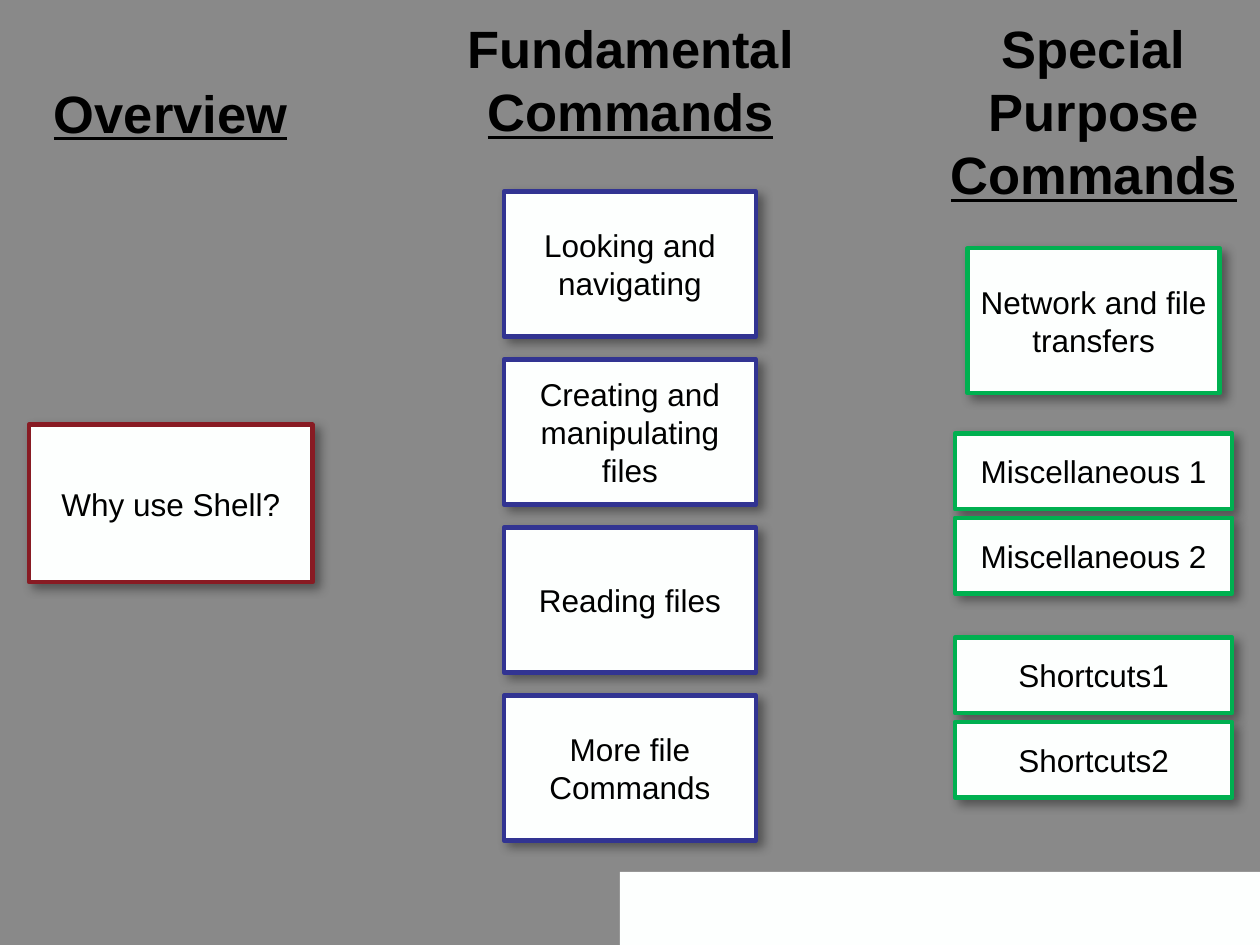
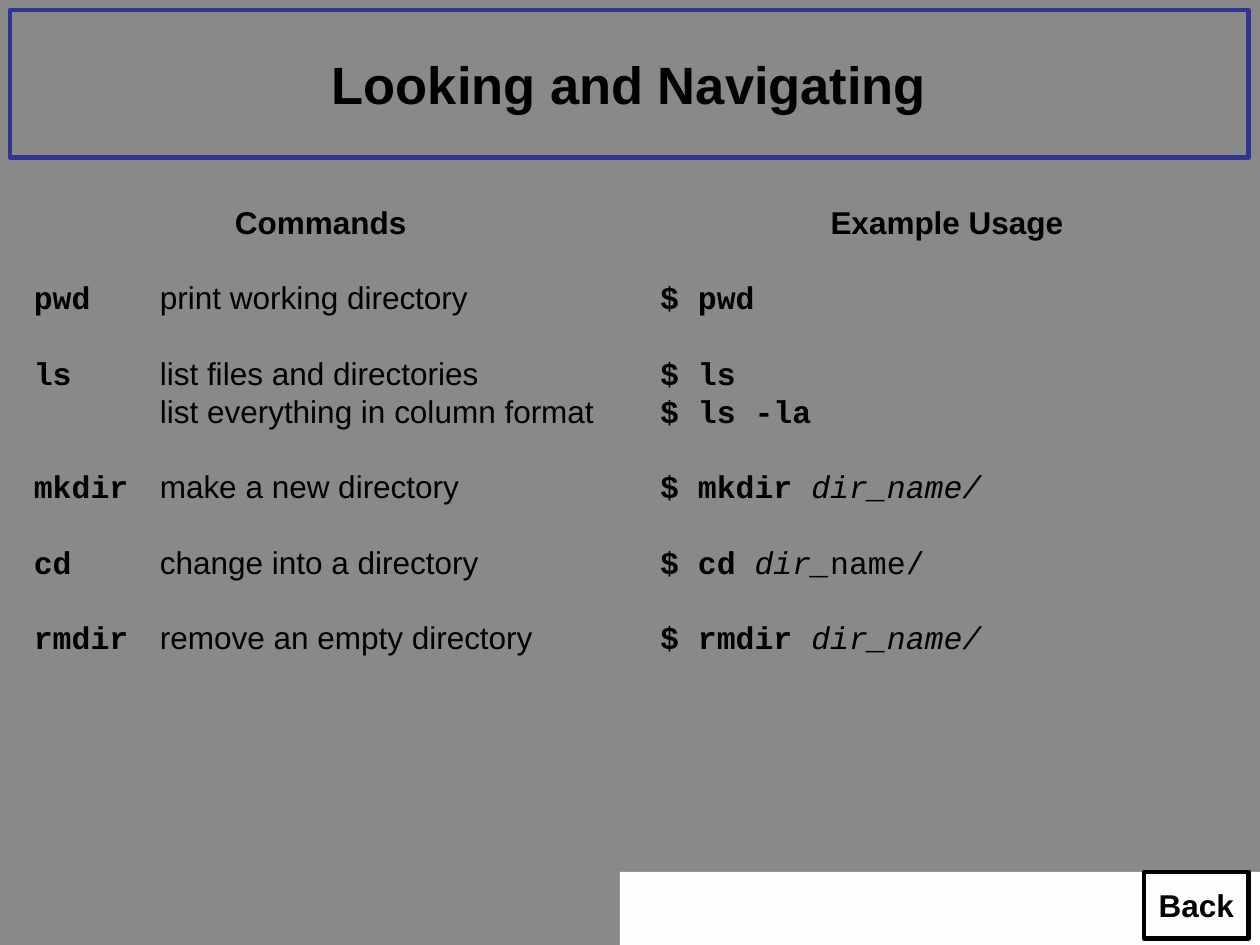
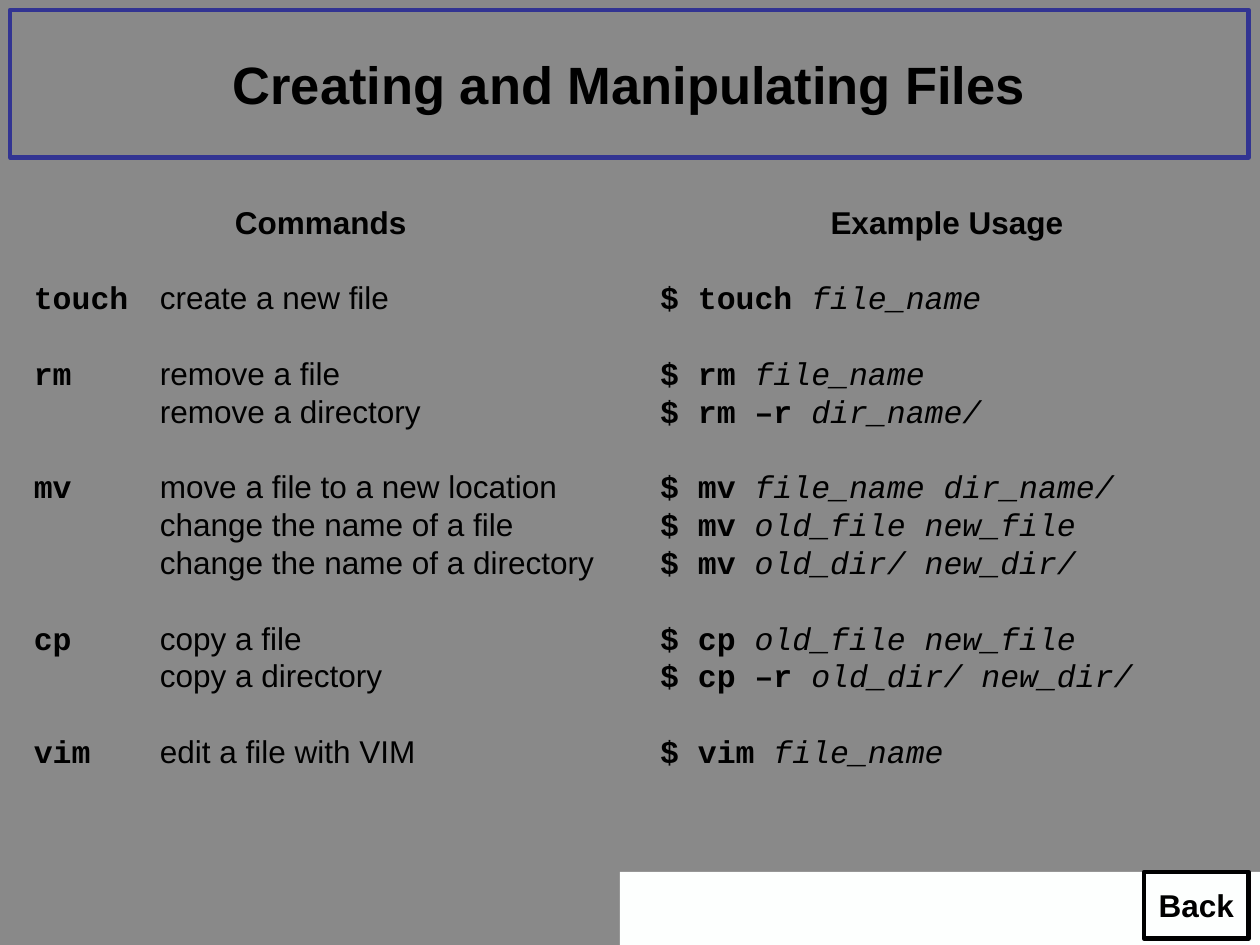
from lxml import etree
from pptx import Presentation
from pptx.dml.color import RGBColor
from pptx.enum.shapes import MSO_SHAPE
from pptx.enum.text import MSO_ANCHOR, PP_ALIGN
from pptx.oxml.ns import qn
from pptx.util import Inches, Pt

GREY = RGBColor(0x89, 0x89, 0x89)
WHITE = RGBColor(0xFD, 0xFF, 0xFE)
BLACK = RGBColor(0, 0, 0)
RED = RGBColor(0x88, 0x1B, 0x23)
BLUE = RGBColor(0x32, 0x34, 0x92)
GREEN = RGBColor(0x00, 0xB0, 0x50)

SANS, MONO = "Arial", "Courier New"
TITLE_SIZE, BODY_SIZE = 30, 18
LINE_PITCH = 1.2
LIST_TOP, LIST_WIDTH = 1.56, 4.75
LIST_LEFTS = (0.17, 5.14)
CARD_PITCH = 4 / 3

# Each command: name, then (description, example, argument) lines.
NAVIGATING = [
    ("pwd", [("print working directory", "$ pwd", "")]),
    ("ls", [("list files and directories", "$ ls", ""),
            ("list everything in column format", "$ ls -la", "")]),
    ("mkdir", [("make a new directory", "$ mkdir ", "dir_name/")]),
    ("cd", [("change into a directory", "$ cd ", "dir_|name/")]),
    ("rmdir", [("remove an empty directory", "$ rmdir ", "dir_name/")]),
]
MANIPULATING = [
    ("touch", [("create a new file", "$ touch ", "file_name")]),
    ("rm", [("remove a file", "$ rm ", "file_name"),
            ("remove a directory", "$ rm –r ", "dir_name/")]),
    ("mv", [("move a file to a new location", "$ mv ", "file_name dir_name/"),
            ("change the name of a file", "$ mv ", "old_file new_file"),
            ("change the name of a directory", "$ mv ", "old_dir/ new_dir/")]),
    ("cp", [("copy a file", "$ cp ", "old_file new_file"),
            ("copy a directory", "$ cp –r ", "old_dir/ new_dir/")]),
    ("vim", [("edit a file with VIM", "$ vim ", "file_name")]),
]


def add_span(para, text, size=BODY_SIZE, name=SANS, bold=False, italic=False,
             underline=False):
    """Append one formatted run to a paragraph."""
    span = para.add_run()
    span.text = text
    font = span.font
    font.size, font.name, font.bold = Pt(size), name, bold
    font.italic, font.underline = italic, underline
    font.color.rgb = BLACK


def set_para(para, size=BODY_SIZE, centred=False, gap=False):
    """Set line pitch and alignment; gap leaves one line free above."""
    para.line_spacing = Pt(size * LINE_PITCH)
    para.alignment = PP_ALIGN.CENTER if centred else PP_ALIGN.LEFT
    if gap:
        para.space_before = para.line_spacing


def add_tab_stop(para, position):
    """Add a left tab stop to a paragraph."""
    stops = etree.SubElement(para._p.get_or_add_pPr(), qn("a:tabLst"))
    etree.SubElement(stops, qn("a:tab"), pos=str(Inches(position)), algn="l")


def add_shadow(box):
    """Give a box a soft shadow towards the lower right."""
    effects = box.fill._xPr.find(qn("a:effectLst"))
    shadow = etree.SubElement(effects, qn("a:outerShdw"), blurRad=str(Pt(6)),
                              dist=str(Pt(4)), dir=str(45 * 60000),
                              algn="tl", rotWithShape="0")
    color = etree.SubElement(shadow, qn("a:srgbClr"), val=str(BLACK))
    etree.SubElement(color, qn("a:alpha"), val="40000")


def add_box(page, place, text="", line=None, fill=None, size=BODY_SIZE,
            bold=False):
    """Add a rectangle with optional outline, fill and centred text."""
    box = page.shapes.add_shape(MSO_SHAPE.RECTANGLE, *map(Inches, place))
    box.shadow.inherit = False
    if fill is None:
        box.fill.background()
    else:
        box.fill.solid()
        box.fill.fore_color.rgb = fill
    if line is None:
        box.line.fill.background()
    else:
        box.line.color.rgb = line
        box.line.width = Pt(2.5)
    if text:
        frame = box.text_frame
        frame.word_wrap = True
        frame.vertical_anchor = MSO_ANCHOR.MIDDLE
        set_para(frame.paragraphs[0], size, centred=True)
        add_span(frame.paragraphs[0], text, size, bold=bold)
    return box


def add_card(page, place, text, color):
    """Add a white topic card with a coloured outline and a shadow."""
    add_shadow(add_box(page, place, text, color, WHITE))


def add_frame(page, place):
    """Add a wrapping text box and return its text frame."""
    frame = page.shapes.add_textbox(*map(Inches, place)).text_frame
    frame.word_wrap = True
    return frame


def add_heading(page, place, lines):
    """Add a column heading whose last line is underlined."""
    frame = add_frame(page, place)
    for index, text in enumerate(lines):
        para = frame.add_paragraph() if index else frame.paragraphs[0]
        set_para(para, TITLE_SIZE, centred=True)
        add_span(para, text, TITLE_SIZE, bold=True,
                 underline=index == len(lines) - 1)


def add_page(deck):
    """Add a blank page with the white band at the lower right."""
    page = deck.slides.add_slide(deck.slide_layouts[6])
    add_box(page, (4.92, 6.92, 5.08, 0.58), fill=WHITE)
    return page


def add_overview(deck):
    """Build the page that maps all topics in three columns."""
    page = add_page(deck)
    add_card(page, (0.23, 3.37, 2.25, 1.25), "Why use Shell?", RED)
    topics = ["Looking and navigating", "Creating and manipulating files",
              "Reading files", "More file Commands"]
    for row, text in enumerate(topics):
        add_card(page, (4, 1.52 + row * CARD_PITCH, 2, 1.15), text, BLUE)
    add_card(page, (7.68, 1.97, 2, 1.15), "Network and file transfers", GREEN)
    for top, name in ((3.44, "Miscellaneous "), (5.06, "Shortcuts")):
        for row in range(2):
            add_card(page, (7.58, top + row * 0.67, 2.2, 0.6),
                     f"{name}{row + 1}", GREEN)
    add_heading(page, (0.28, 0.59, 2.15, 0.61), ["Overview"])
    add_heading(page, (3.55, 0.08, 2.91, 1.11), ["Fundamental", "Commands"])
    add_heading(page, (6.52, 0.08, 4.32, 1.62),
                ["Special", "Purpose", "Commands"])


def add_commands(deck, title, commands, height):
    """Build a page of commands beside their example usage."""
    page = add_page(deck)
    add_box(page, (0.08, 0.08, 9.83, 1.17), title, BLUE, size=TITLE_SIZE,
            bold=True)
    frames = [add_frame(page, (left, LIST_TOP, LIST_WIDTH, height))
              for left in LIST_LEFTS]
    for frame, text in zip(frames, ("Commands", "Example Usage")):
        set_para(frame.paragraphs[0], centred=True)
        add_span(frame.paragraphs[0], text, bold=True)
    for name, lines in commands:
        for index, (description, example, argument) in enumerate(lines):
            left, right = [frame.add_paragraph() for frame in frames]
            for para in (left, right):
                set_para(para, gap=index == 0)
            add_tab_stop(left, 1)
            add_span(left, ("" if index else name) + "\t", name=MONO, bold=True)
            add_span(left, description)
            add_span(right, example, name=MONO, bold=True)
            # A bar ends the slanted part of an argument.
            slanted, _, upright = argument.partition("|")
            if slanted:
                add_span(right, slanted, name=MONO, italic=True)
            if upright:
                add_span(right, upright, name=MONO)
    add_box(page, (9.08, 6.92, 0.83, 0.53), "Back", BLACK, bold=True)


def main():
    """Build and save the deck."""
    deck = Presentation()
    deck.slide_width, deck.slide_height = Inches(10), Inches(7.5)
    background = deck.slide_master.background.fill
    background.solid()
    background.fore_color.rgb = GREY
    add_overview(deck)
    add_commands(deck, "Looking and Navigating", NAVIGATING, 4.64)
    add_commands(deck, "Creating and Manipulating Files", MANIPULATING, 5.55)
    deck.save("out.pptx")


main()
